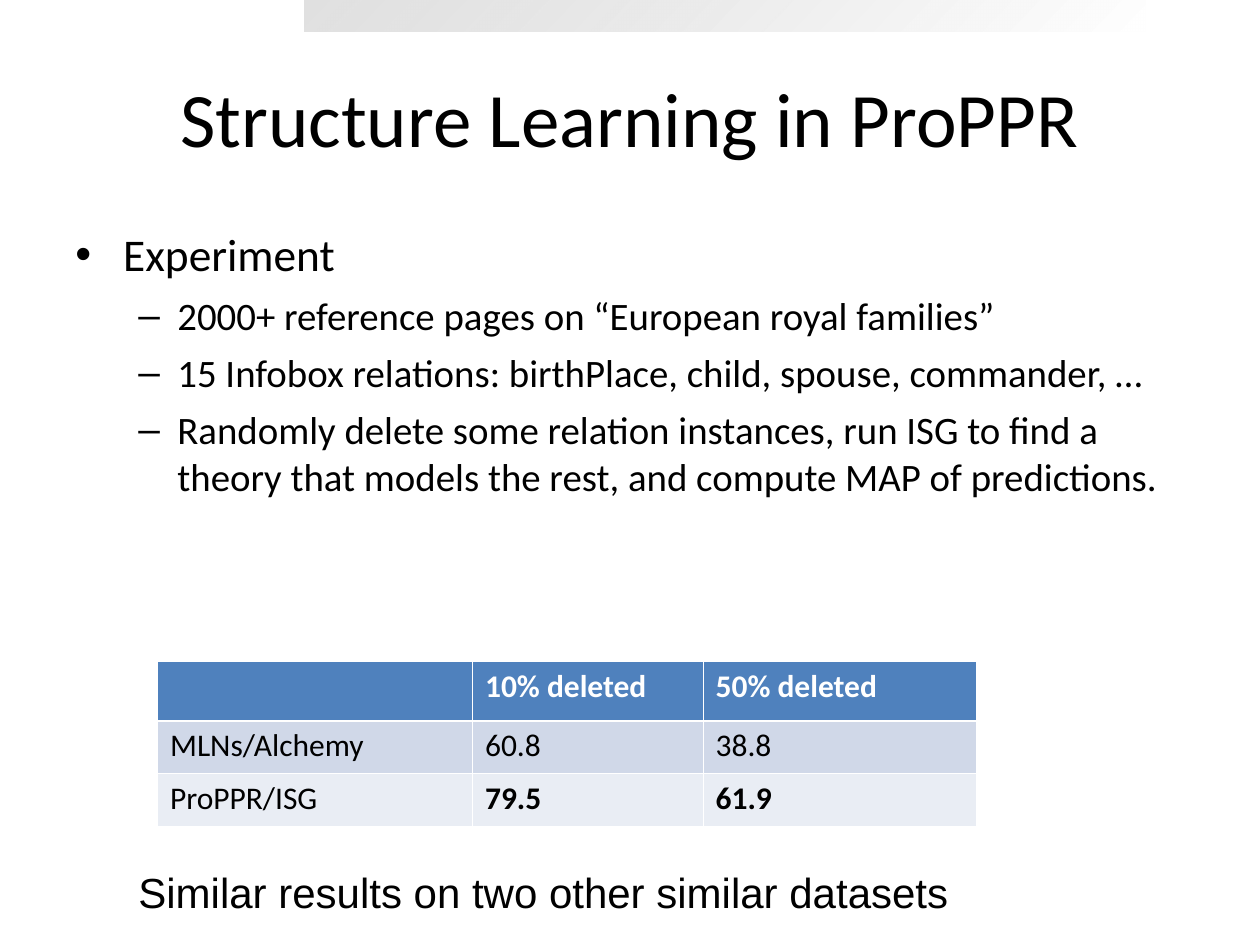
import dataclasses

import pptx
import pptx.dml.color
import pptx.enum.shapes
import pptx.enum.text
import pptx.oxml
import pptx.oxml.ns
import pptx.util
from pptx.util import Inches


@dataclasses.dataclass(frozen=True)
class Theme:
    font: str = "Calibri"
    note_font: str = "Arial"
    black: str = "000000"
    white: str = "FFFFFF"
    silver: str = "C0C0C0"
    header: str = "4F81BD"
    bands: tuple = ("D0D8E8", "E9EDF4")
    title: float = 44
    topic: float = 25.9
    detail: float = 22.2
    cell: float = 18
    note: float = 24
    thin: float = 0.45
    thick: float = 1.47


THEME = Theme()


def rgb(color):
    return pptx.dml.color.RGBColor.from_string(color)


def add_xml(parent, tag, **attrs):
    child = parent.makeelement(pptx.oxml.ns.qn(tag), attrs)
    parent.append(child)
    return child


def write(p, text, size, font=THEME.font, color=THEME.black, bold=False,
          align=None, before=0, left=0, hang=0, bullet=None, level=0):
    p.level = level
    p.alignment = align
    p.space_before = pptx.util.Pt(before)
    pPr = p._p.get_or_add_pPr()
    pPr.set("marL", str(Inches(left)))
    pPr.set("indent", str(Inches(-hang)))
    if bullet:
        add_xml(pPr, "a:buFont", typeface="Arial")
        add_xml(pPr, "a:buChar", char=bullet)
    r = p.add_run()
    r.text = text
    r.font.name = font
    r.font.size = pptx.util.Pt(size)
    r.font.bold = bold
    r.font.color.rgb = rgb(color)


def add_text_box(s, x, y, w, h, middle=False):
    tf = s.shapes.add_textbox(Inches(x), Inches(y), Inches(w), Inches(h)).text_frame
    tf.word_wrap = True
    if middle:
        tf.vertical_anchor = pptx.enum.text.MSO_ANCHOR.MIDDLE
    return tf


def add_top_band(s):
    sp = s.shapes.add_shape(pptx.enum.shapes.MSO_SHAPE.RECTANGLE,
                            Inches(2.42), 0, Inches(6.67), Inches(0.25))
    sp.shadow.inherit = False
    sp.line.fill.background()
    sp.fill.gradient()
    sp.fill.gradient_angle = 135
    stops = ((THEME.white, 68), (THEME.silver, 48))
    for position, (stop, (color, opacity)) in enumerate(zip(sp.fill.gradient_stops, stops)):
        stop.position = position
        stop.color.rgb = rgb(color)
        add_xml(stop._gs[0], "a:alpha", val=str(opacity * 1000))


def add_bullets(s, topic, details):
    tf = add_text_box(s, 0.5, 1.75, 9, 3.17)
    write(tf.paragraphs[0], topic, THEME.topic, left=0.38, hang=0.38, bullet="•")
    for detail in details:
        write(tf.add_paragraph(), detail, THEME.detail, before=6,
              left=0.81, hang=0.31, bullet="–", level=1)


def set_borders(cell, top, bottom):
    tcPr = cell._tc.get_or_add_tcPr()
    widths = {"a:lnL": THEME.thin, "a:lnR": THEME.thin, "a:lnT": top, "a:lnB": bottom}
    for tag, width in widths.items():
        ln = add_xml(tcPr, tag, w=str(pptx.util.Pt(width)))
        add_xml(add_xml(ln, "a:solidFill"), "a:srgbClr", val=THEME.white)


def add_results_table(s, rows, col_widths, row_heights):
    table = s.shapes.add_table(len(rows), len(col_widths), Inches(1.25), Inches(5.25),
                               Inches(sum(col_widths)), Inches(sum(row_heights))).table
    for col, width in zip(table.columns, col_widths):
        col.width = Inches(width)
    for row, height in zip(table.rows, row_heights):
        row.height = Inches(height)
    fills = (THEME.header, *THEME.bands)
    best = len(rows) - 1
    for i, values in enumerate(rows):
        for j, value in enumerate(values):
            cell = table.cell(i, j)
            set_borders(cell, THEME.thick if i == 1 else THEME.thin,
                        THEME.thick if i == 0 else THEME.thin)
            cell.fill.solid()
            cell.fill.fore_color.rgb = rgb(fills[i])
            if value:
                write(cell.text_frame.paragraphs[0], value, THEME.cell,
                      color=THEME.black if i else THEME.white,
                      bold=i == 0 or (i == best and j > 0))


def main():
    prs = pptx.Presentation()
    prs.slide_width, prs.slide_height = Inches(10), Inches(7.5)
    s = prs.slides.add_slide(prs.slide_layouts[6])

    add_top_band(s)
    title = add_text_box(s, 0.5, 0.3, 9, 1.25, middle=True)
    write(title.paragraphs[0], "Structure Learning in ProPPR", THEME.title,
          align=pptx.enum.text.PP_ALIGN.CENTER)
    add_bullets(s, "Experiment", (
        "2000+ reference pages on “European royal families”",
        "15 Infobox relations: birthPlace, child, spouse, commander, …",
        "Randomly delete some relation instances, run ISG to find a theory "
        "that models the rest, and compute MAP of predictions.",
    ))
    add_results_table(s, (
        ("", "10% deleted", "50% deleted"),
        ("MLNs/Alchemy", "60.8", "38.8"),
        ("ProPPR/ISG", "79.5", "61.9"),
    ), col_widths=(2.5, 1.83, 2.17), row_heights=(0.47, 0.42, 0.42))
    note = add_text_box(s, 0.5, 6.83, 8.58, 0.5)
    write(note.paragraphs[0], "Similar results on two other similar datasets",
          THEME.note, font=THEME.note_font, left=0.5, level=1)

    prs.save("out.pptx")


if __name__ == "__main__":
    main()
